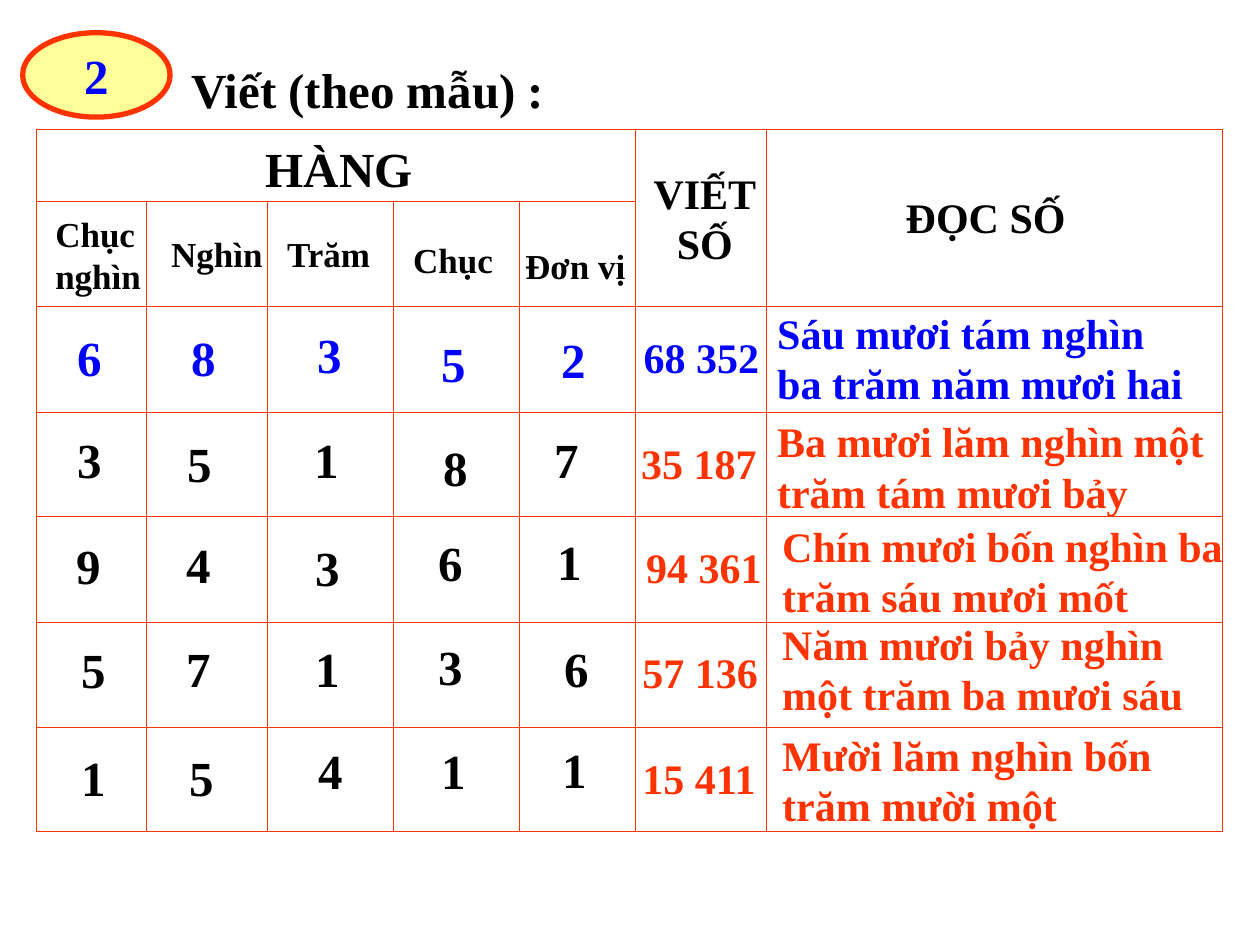
from dataclasses import dataclass

import pptx
import pptx.dml.color
import pptx.enum.shapes
import pptx.enum.text
import pptx.oxml
import pptx.oxml.ns
import pptx.util
from pptx.util import Inches

RGBColor = pptx.dml.color.RGBColor
Align = pptx.enum.text.PP_ALIGN

BLACK = RGBColor(0x00, 0x00, 0x00)
BLUE = RGBColor(0x00, 0x00, 0xFF)
RED = RGBColor(0xFF, 0x33, 0x00)
YELLOW = RGBColor(0xFF, 0xFF, 0x99)
FONT_NAME = "Times New Roman"
SMALL, MEDIUM, LARGE = 20, 24, 28
LINE_HEIGHTS = {SMALL: 0.44, MEDIUM: 0.5, LARGE: 0.57}
TWO_LINES_HEIGHT = 0.9

TABLE_LEFT, TABLE_TOP = 0.29, 1.03
COLUMN_WIDTHS = (0.87, 0.96, 1, 1, 0.92, 1.04, 3.62)
ROW_HEIGHTS = (0.57, 0.83, 0.84, 0.83, 0.84, 0.83, 0.83)
MERGES = (((0, 0), (0, 4)), ((0, 5), (1, 5)), ((0, 6), (1, 6)))


@dataclass(frozen=True)
class Label:
    text: str
    left: float
    top: float
    width: float
    height: float
    size: int
    color: RGBColor = BLACK
    alignment: Align = Align.LEFT


@dataclass(frozen=True)
class NumberRow:
    """One number: its digits with their places, its figure and its reading."""
    digits: str
    digit_places: tuple[tuple[float, float], ...]
    figure: str
    figure_place: tuple[float, float]
    reading: str
    reading_place: tuple[float, float]
    reading_width: float = 3.83
    digit_color: RGBColor = BLACK
    word_color: RGBColor = RED


HEADINGS = (
    Label("Viết (theo mẫu) :", 1.42, 0.42, 3.08, 0.57, LARGE),
    Label("HÀNG", 2.01, 1.05, 1.42, 0.57, LARGE),
    Label("VIẾT\nSỐ", 5.01, 1.28, 1.17, 0.9, MEDIUM, alignment=Align.CENTER),
    Label("ĐỌC SỐ", 7.09, 1.47, 2, 0.5, MEDIUM),
    Label("Chục\nnghìn", 0.34, 1.64, 0.92, 0.77, SMALL),
    Label("Nghìn", 1.26, 1.8, 1, 0.44, SMALL),
    Label("Trăm", 2.18, 1.8, 1, 0.44, SMALL),
    Label("Chục", 3.18, 1.84, 1, 0.44, SMALL),
    Label("Đơn vị", 4.07, 1.89, 1, 0.44, SMALL),
)

NUMBER_ROWS = (
    NumberRow("68352",
              ((0.52, 2.55), (1.42, 2.55), (2.42, 2.53), (3.41, 2.6), (4.36, 2.57)),
              "68 352", (5.01, 2.58),
              "Sáu mươi tám nghìn ba trăm năm mươi hai", (6.07, 2.39), 3.48,
              digit_color=BLUE, word_color=BLUE),
    NumberRow("35187",
              ((0.52, 3.36), (1.39, 3.39), (2.4, 3.36), (3.42, 3.42), (4.3, 3.36)),
              "35 187", (4.99, 3.42),
              "Ba mươi lăm nghìn một trăm tám mươi bảy", (6.07, 3.25)),
    NumberRow("94361",
              ((0.51, 4.2), (1.38, 4.19), (2.41, 4.22), (3.38, 4.18), (4.33, 4.17)),
              "94 361", (5.03, 4.25),
              "Chín mươi bốn nghìn ba trăm sáu mươi mốt", (6.11, 4.08)),
    NumberRow("57136",
              ((0.55, 5.03), (1.38, 5.02), (2.41, 5.02), (3.38, 5), (4.38, 5.02)),
              "57 136", (5, 5.08),
              "Năm mươi bảy nghìn một trăm ba mươi sáu", (6.11, 4.86)),
    NumberRow("15411",
              ((0.55, 5.88), (1.41, 5.88), (2.43, 5.83), (3.41, 5.83), (4.37, 5.82)),
              "15 411", (5, 5.92),
              "Mười lăm nghìn bốn trăm mười một", (6.11, 5.74), 3.25),
)


def write_text(shape, text: str, size: int, color: RGBColor, alignment: Align) -> None:
    frame = shape.text_frame
    frame.text = text
    font_format = {"name": FONT_NAME, "size": pptx.util.Pt(size), "bold": True}
    for paragraph in frame.paragraphs:
        paragraph.alignment = alignment
        for run in paragraph.runs:
            for attribute, value in font_format.items():
                setattr(run.font, attribute, value)
            run.font.color.rgb = color


def add_label(slide, label: Label) -> None:
    box = slide.shapes.add_textbox(Inches(label.left), Inches(label.top),
                                   Inches(label.width), Inches(label.height))
    box.text_frame.word_wrap = True
    box.text_frame.auto_size = pptx.enum.text.MSO_AUTO_SIZE.SHAPE_TO_FIT_TEXT
    write_text(box, label.text, label.size, label.color, label.alignment)


def add_number_row(slide, row: NumberRow) -> None:
    for digit, place in zip(row.digits, row.digit_places):
        add_label(slide, Label(digit, *place, 0.5, LINE_HEIGHTS[LARGE],
                               LARGE, row.digit_color))
    add_label(slide, Label(row.figure, *row.figure_place, 1.42,
                           LINE_HEIGHTS[MEDIUM], MEDIUM, row.word_color))
    add_label(slide, Label(row.reading, *row.reading_place, row.reading_width,
                           TWO_LINES_HEIGHT, MEDIUM, row.word_color))


def set_borders(cell, color: RGBColor, points: float) -> None:
    properties = cell._tc.get_or_add_tcPr()
    for side in ("lnL", "lnR", "lnT", "lnB"):
        properties.append(pptx.oxml.parse_xml(
            f'<a:{side} {pptx.oxml.ns.nsdecls("a")} w="{pptx.util.Pt(points)}">'
            f'<a:solidFill><a:srgbClr val="{color}"/></a:solidFill></a:{side}>'))


def add_grid(slide) -> None:
    frame = slide.shapes.add_table(
        len(ROW_HEIGHTS), len(COLUMN_WIDTHS), Inches(TABLE_LEFT), Inches(TABLE_TOP),
        Inches(sum(COLUMN_WIDTHS)), Inches(sum(ROW_HEIGHTS)))
    table = frame.table
    table.first_row = table.horz_banding = False
    for column, width in zip(table.columns, COLUMN_WIDTHS):
        column.width = Inches(width)
    for row, height in zip(table.rows, ROW_HEIGHTS):
        row.height = Inches(height)
    for cell in table.iter_cells():
        set_borders(cell, RED, 0.45)
        cell.fill.background()
    for first, last in MERGES:
        table.cell(*first).merge(table.cell(*last))


def add_exercise_badge(slide) -> None:
    badge = slide.shapes.add_shape(pptx.enum.shapes.MSO_SHAPE.OVAL, Inches(0.18),
                                   Inches(0.26), Inches(1.17), Inches(0.67))
    badge.shadow.inherit = False
    badge.fill.solid()
    badge.fill.fore_color.rgb = YELLOW
    badge.line.color.rgb = RED
    badge.line.width = pptx.util.Pt(3)
    badge.text_frame.word_wrap = False
    badge.text_frame.vertical_anchor = pptx.enum.text.MSO_ANCHOR.MIDDLE
    write_text(badge, "2", LARGE, BLUE, Align.CENTER)


def main() -> None:
    presentation = pptx.Presentation()
    presentation.slide_width = Inches(10)
    presentation.slide_height = Inches(7.5)
    slide = presentation.slides.add_slide(presentation.slide_layouts[6])
    add_grid(slide)
    for heading in HEADINGS:
        add_label(slide, heading)
    for row in NUMBER_ROWS:
        add_number_row(slide, row)
    add_exercise_badge(slide)
    presentation.save("out.pptx")


if __name__ == "__main__":
    main()
